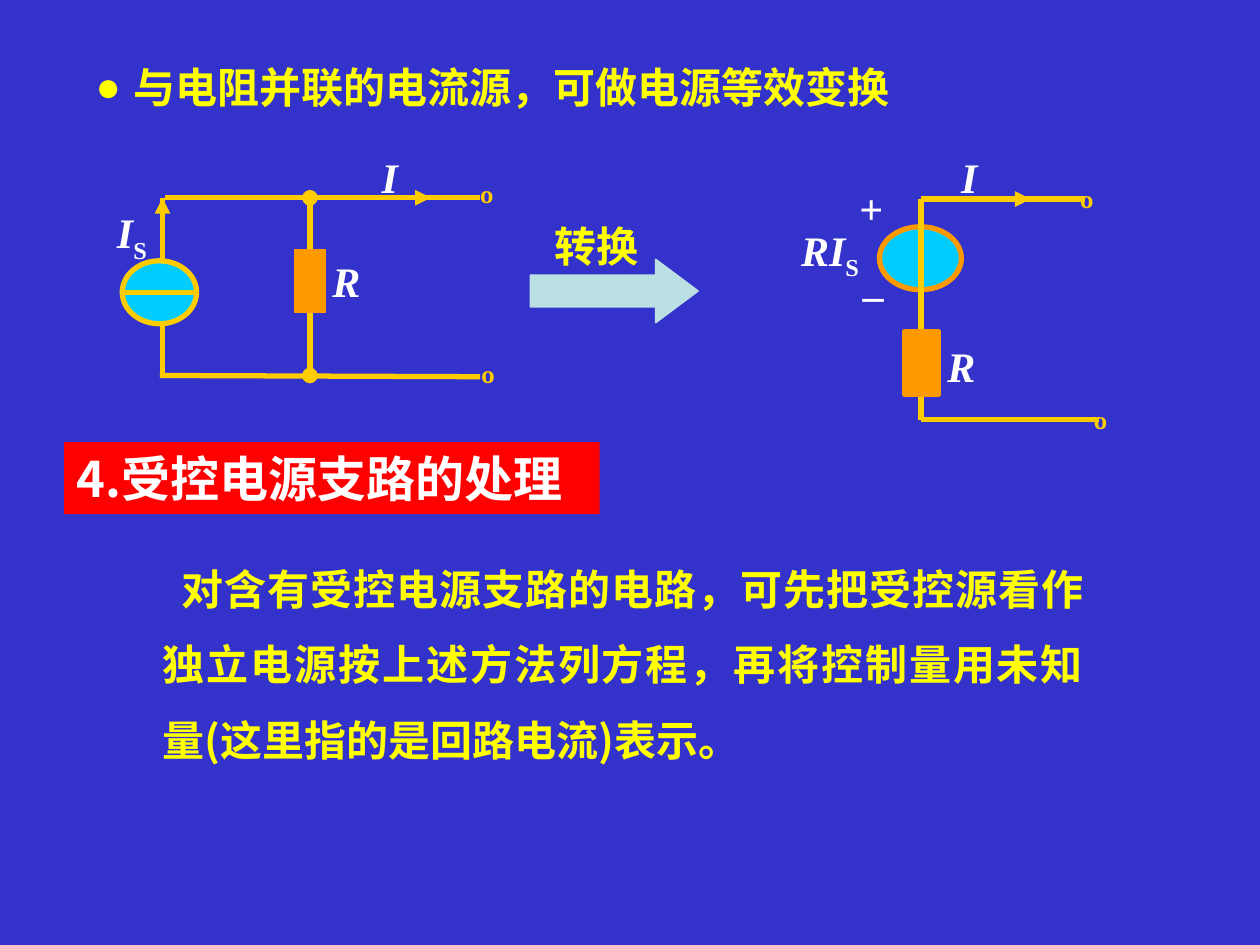
from lxml.etree import SubElement
from pptx import Presentation
from pptx.dml.color import RGBColor
from pptx.enum.shapes import MSO_CONNECTOR as Connector, MSO_SHAPE as Shape
from pptx.enum.text import MSO_ANCHOR as Anchor, MSO_AUTO_SIZE as AutoSize, PP_ALIGN as Align
from pptx.oxml.ns import qn
from pptx.util import Emu, Pt

PX = 9144
SERIF, SANS = "Times New Roman", "Noto Sans CJK SC"
WHITE, YELLOW, GOLD, ORANGE, CYAN = "FFFFFF", "FFFF00", "FFCC00", "FF9900", "00CCFF"


def px(value):
    """Turn px, a hundredth of an inch each, into EMU."""
    return Emu(value * PX)


def color(target, value):
    """Give a fill, or a font's or line's colour, a hex value."""
    if hasattr(target, "solid"):
        target.solid()
        target.fore_color.rgb = RGBColor.from_string(value)
    else:
        target.color.rgb = RGBColor.from_string(value)


def style(run, size, font, value, italic=False):
    """Format a bold run, with the sans face for East Asian text."""
    run.font.size, run.font.name = Pt(size), font
    run.font.bold, run.font.italic = True, italic
    color(run.font, value)
    SubElement(run.font._element, qn("a:ea")).set("typeface", SANS)


def set_frame(frame, anchor=Anchor.TOP):
    """Make a text frame wrap at a fixed size."""
    frame.word_wrap, frame.auto_size = True, AutoSize.NONE
    frame.vertical_anchor = anchor


class Panel:
    """A group whose parts are placed relative to one corner."""

    def __init__(self, slide, left, top):
        """Open an empty group at a corner of the slide."""
        self.shapes = slide.shapes.add_group_shape().shapes
        self.left, self.top = left, top

    def place(self, x, y):
        """Turn a point of the panel into a point of the slide."""
        return px(self.left + x), px(self.top + y)

    def wire(self, x1, y1, x2, y2, head=None, tail=None):
        """Draw a wire with optional line ends."""
        line = self.shapes.add_connector(
            Connector.STRAIGHT, *self.place(x1, y1), *self.place(x2, y2))
        color(line.line, GOLD)
        line.line.width = Pt(3)
        for tag, kind in (("a:headEnd", head), ("a:tailEnd", tail)):
            if kind:
                SubElement(line.line._get_or_add_ln(), qn(tag)).set("type", kind)
        SubElement(line._element.spPr, qn("a:effectLst"))

    def block(self, kind, x, y, width, height, fill, outline, weight):
        """Draw a filled preset shape."""
        shape = self.shapes.add_shape(kind, *self.place(x, y), px(width), px(height))
        shape.shadow.inherit = False
        color(shape.fill, fill)
        color(shape.line, outline)
        shape.line.width = Pt(weight)
        return shape

    def label(self, text, x, y, width, value=WHITE, italic=False, subscript="",
              centered=False, height=50):
        """Write a symbol with an optional upright subscript."""
        box = self.shapes.add_textbox(*self.place(x, y), px(width), px(height))
        set_frame(box.text_frame, Anchor.MIDDLE if centered else Anchor.TOP)
        paragraph = box.text_frame.paragraphs[0]
        paragraph.alignment = Align.CENTER if centered else Align.LEFT
        paragraph.text = text
        style(paragraph.runs[0], 24, SERIF, value, italic)
        if subscript:
            run = paragraph.add_run()
            run.text = subscript
            style(run, 24, SERIF, value)
            run.font._element.set("baseline", "-25000")

    def terminal(self, x, y, width):
        """Mark an open end of the circuit."""
        self.label("º", x, y, width, GOLD, centered=True)


def add_current_circuit(slide, left, top):
    """Draw the current source in parallel with a resistor."""
    panel = Panel(slide, left, top)
    panel.wire(48, 42, 298, 42)
    panel.label("I", 210, 0, 49, italic=True)
    panel.label("R", 171, 83, 44, italic=True)
    panel.wire(44, 183, 298, 184)
    panel.wire(46, 42, 46, 183)
    panel.block(Shape.OVAL, 14, 92, 59, 50, CYAN, GOLD, 3)
    panel.wire(14, 117, 73, 117)
    panel.wire(46, 83, 46, 42, tail="triangle")
    panel.wire(163, 183, 163, 42, head="oval", tail="oval")
    panel.block(Shape.RECTANGLE, 151, 83, 24, 50, ORANGE, ORANGE, 1)
    panel.label("I", 0, 44, 59, italic=True, subscript="S", height=56)
    panel.wire(161, 42, 259, 42, tail="triangle")
    panel.terminal(288, 21, 24)
    panel.terminal(289, 164, 24)


def add_conversion(slide, left, top):
    """Draw the arrow between the circuits with its caption."""
    panel = Panel(slide, left, top)
    arrow = panel.block(Shape.RIGHT_ARROW, 0, 36, 133, 50, "BBE0E3", "BBE0E3", 1)
    arrow.adjustments[0], arrow.adjustments[1] = 0.5, 0.67
    panel.label("转换", 9, 0, 92, YELLOW)


def add_voltage_circuit(slide, left, top):
    """Draw the equivalent voltage source in series with a resistor."""
    panel = Panel(slide, left, top)
    panel.block(Shape.OVAL, 72, 65, 65, 50, CYAN, ORANGE, 3)
    panel.label("+", 46, 25, 39, centered=True)
    panel.label("_", 43, 82, 48, centered=True)
    panel.label("RI", 0, 58, 89, italic=True, subscript="S", height=56)
    panel.wire(105, 43, 105, 218)
    panel.wire(105, 43, 235, 43)
    panel.wire(105, 218, 246, 218)
    panel.wire(105, 43, 192, 43, tail="triangle")
    panel.label("I", 127, 0, 54, italic=True)
    panel.block(Shape.RECTANGLE, 92, 148, 27, 50, ORANGE, ORANGE, 3)
    panel.label("R", 116, 150, 167, italic=True)
    panel.terminal(221, 25, 31)
    panel.terminal(232, 200, 31)


def fill_placeholder(shape, box, text, size, value, align=Align.LEFT,
                     margin=0, indent=0, bullet=None, spacing=1.0):
    """Move a placeholder to a box and write one paragraph in it."""
    shape.left, shape.top, shape.width, shape.height = map(px, box)
    set_frame(shape.text_frame)
    paragraph = shape.text_frame.paragraphs[0]
    paragraph.text = text
    paragraph.alignment, paragraph.line_spacing = align, spacing
    paragraph.space_before = Pt(0)
    properties = paragraph._p.get_or_add_pPr()
    properties.set("marL", str(px(margin)))
    properties.set("indent", str(px(indent)))
    if bullet:
        SubElement(SubElement(properties, qn("a:buClr")), qn("a:srgbClr")).set("val", value)
        SubElement(properties, qn("a:buChar")).set("char", bullet)
    else:
        SubElement(properties, qn("a:buNone"))
    style(paragraph.runs[0], size, SANS, value)


def main():
    """Build the slide and save it."""
    presentation = Presentation()
    presentation.slide_width, presentation.slide_height = px(1000), px(750)
    slide = presentation.slides.add_slide(presentation.slide_layouts[3])
    color(slide.background.fill, "3333CC")
    heading, point, explanation = slide.placeholders
    fill_placeholder(point, (66, 44, 670, 50), "与电阻并联的电流源，可做电源等效变换",
                     24, YELLOW, margin=30, indent=-30, bullet="●")
    add_current_circuit(slide, 83, 115)
    add_conversion(slide, 421, 170)
    add_voltage_circuit(slide, 626, 115)
    fill_placeholder(heading, (51, 351, 425, 57), "4.受控电源支路的处理", 28, WHITE)
    color(heading.fill, "FF0000")
    fill_placeholder(
        explanation, (67, 422, 803, 190),
        "对含有受控电源支路的电路，可先把受控源看作独立电源按上述方法列方程，"
        "再将控制量用未知量(这里指的是回路电流)表示。",
        24, YELLOW, Align.JUSTIFY, margin=52, indent=15, spacing=1.5)
    presentation.save("out.pptx")


if __name__ == "__main__":
    main()
